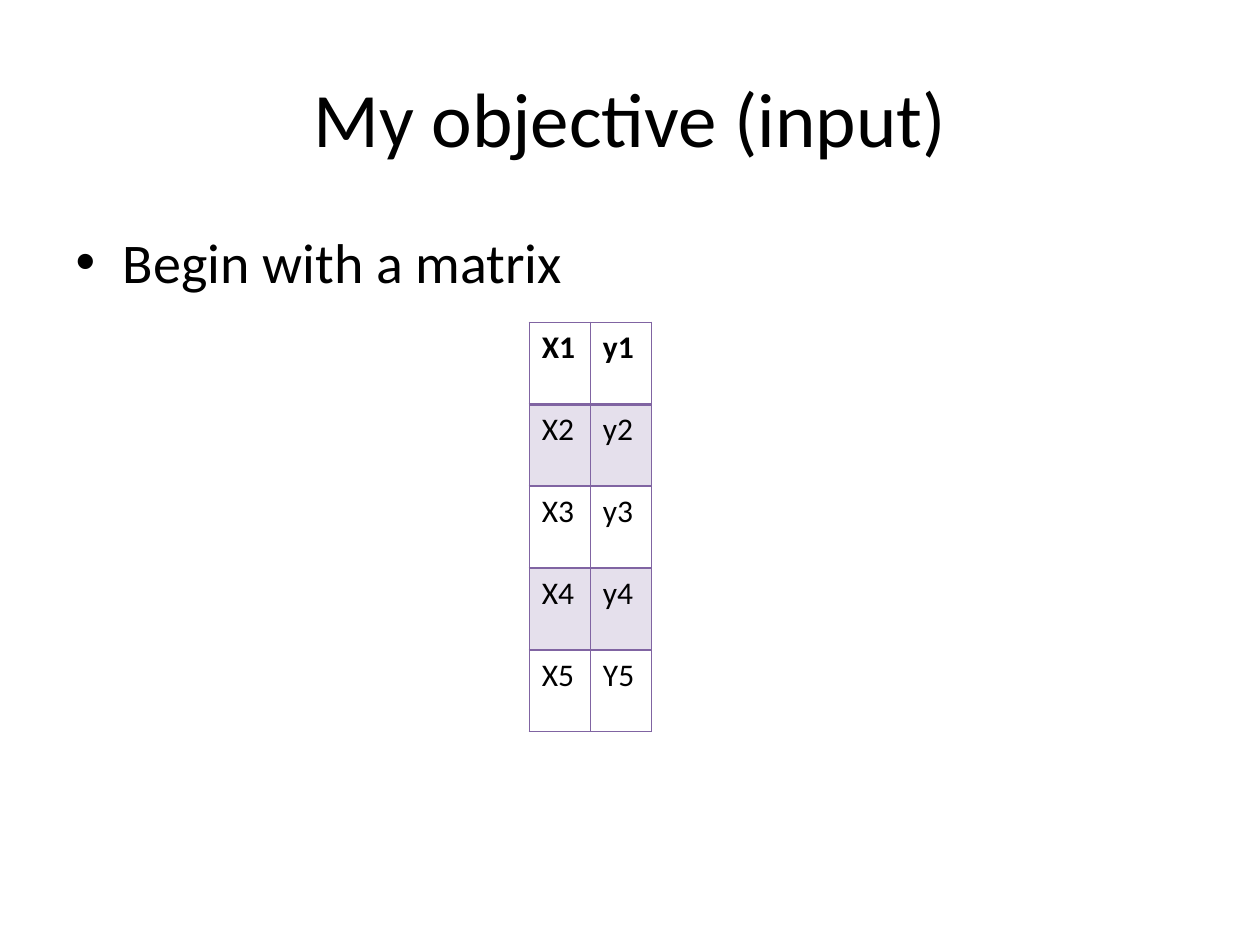
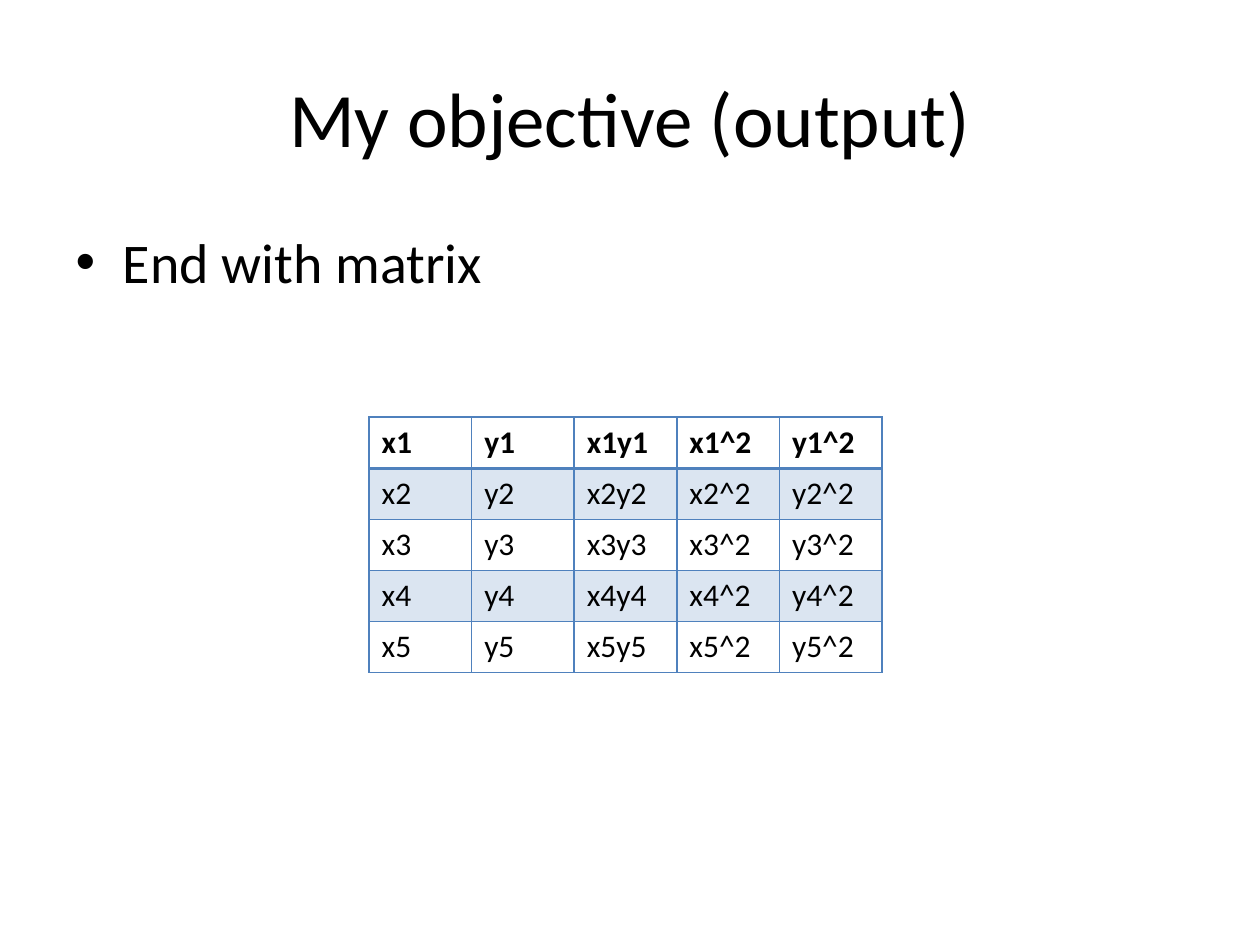
from dataclasses import dataclass

from lxml.etree import SubElement
from pptx import Presentation
from pptx.dml.color import RGBColor
from pptx.enum.text import MSO_VERTICAL_ANCHOR as Anchor, PP_PARAGRAPH_ALIGNMENT as Align
from pptx.oxml.ns import qn
from pptx.util import Cm, Pt


@dataclass(frozen=True)
class Theme:
    """Colours, font and type sizes of the presentation."""
    font: str = "Calibri"
    ink: str = "000000"
    paper: str = "FFFFFF"
    input_accent: str = "8064A2"
    output_accent: str = "4F81BD"
    title_size: int = 44
    body_size: int = 32
    cell_size: int = 18
    band_opacity: int = 20
    line_width: int = 1
    header_line_width: int = 2


@dataclass(frozen=True)
class Box:
    """A region of the slide, in centimetres."""
    left: float
    top: float
    width: float
    height: float

    def place(self, shape):
        """Move and size a shape to fill this box."""
        shape.left, shape.top = Cm(self.left), Cm(self.top)
        shape.width, shape.height = Cm(self.width), Cm(self.height)


THEME = Theme()
TITLE_BOX = Box(1.27, 0.76, 22.86, 3.18)
BODY_BOX = Box(1.27, 4.45, 22.86, 12.57)


def write_text(frame, text, size, bold=False, align=None, anchor=None):
    """Write one formatted paragraph into a text frame."""
    paragraph = frame.paragraphs[0]
    if align is not None:
        paragraph.alignment = align
    if anchor is not None:
        frame.vertical_anchor = anchor
    run = paragraph.add_run()
    run.text = text
    run.font.name = THEME.font
    run.font.size = Pt(size)
    run.font.bold = bold
    run.font.color.rgb = RGBColor.from_string(THEME.ink)


def draw_border(cell, side, colour, width):
    """Draw one border of a cell; side is L, R, T or B."""
    line = SubElement(cell._tc.get_or_add_tcPr(), qn(f"a:ln{side}"), w=str(Pt(width)))
    SubElement(SubElement(line, qn("a:solidFill")), qn("a:srgbClr"), val=colour)


def fill_cell(cell, colour, banded):
    """Tint a banded cell with the accent, or leave the cell clear."""
    if not banded:
        cell.fill.background()
        return
    cell.fill.solid()
    cell.fill.fore_color.rgb = RGBColor.from_string(colour)
    tint = cell._tc.tcPr.find(f"{qn('a:solidFill')}/{qn('a:srgbClr')}")
    SubElement(tint, qn("a:alpha"), val=str(THEME.band_opacity * 1000))


def add_matrix(slide, box, rows, row_height, accent):
    """Add a ruled matrix with a bold first row and every second row tinted."""
    frame = slide.shapes.add_table(len(rows), len(rows[0]), Cm(box.left), Cm(box.top),
                                   Cm(box.width), Cm(box.height))
    table = frame.table
    table.first_row = table.horz_banding = False
    for row_index, values in enumerate(rows):
        table.rows[row_index].height = Cm(row_height)
        heavy_side = {0: "B", 1: "T"}.get(row_index)
        for column_index, value in enumerate(values):
            cell = table.cell(row_index, column_index)
            write_text(cell.text_frame, value, THEME.cell_size, bold=row_index == 0)
            for side in "LRTB":
                heavy = side == heavy_side
                draw_border(cell, side, accent,
                            THEME.header_line_width if heavy else THEME.line_width)
            fill_cell(cell, accent, banded=row_index % 2 == 1)
    box.place(frame)


def add_objective_slide(presentation, title, point):
    """Add a slide with a centred title and one bullet point."""
    slide = presentation.slides.add_slide(presentation.slide_layouts[1])
    slide.background.fill.solid()
    slide.background.fill.fore_color.rgb = RGBColor.from_string(THEME.paper)
    heading, body = slide.shapes.title, slide.placeholders[1]
    TITLE_BOX.place(heading)
    write_text(heading.text_frame, title, THEME.title_size,
               align=Align.CENTER, anchor=Anchor.MIDDLE)
    BODY_BOX.place(body)
    write_text(body.text_frame, point, THEME.body_size)
    return slide


def main():
    """Build and save the two slides."""
    presentation = Presentation()
    presentation.slide_width, presentation.slide_height = Cm(25.4), Cm(19.05)

    input_rows = [(f"X{n}", f"y{n}") for n in range(1, 5)] + [("X5", "Y5")]
    slide = add_objective_slide(presentation, "My objective (input)", "Begin with a matrix")
    add_matrix(slide, Box(10.67, 6.5, 2.46, 8.38), input_rows, 1.65, THEME.input_accent)

    output_rows = [(f"x{n}", f"y{n}", f"x{n}y{n}", f"x{n}^2", f"y{n}^2") for n in range(1, 6)]
    slide = add_objective_slide(presentation, "My objective (output)", "End with matrix")
    add_matrix(slide, Box(7.44, 8.41, 10.34, 5.15), output_rows, 1.03, THEME.output_accent)

    presentation.save("out.pptx")


main()
